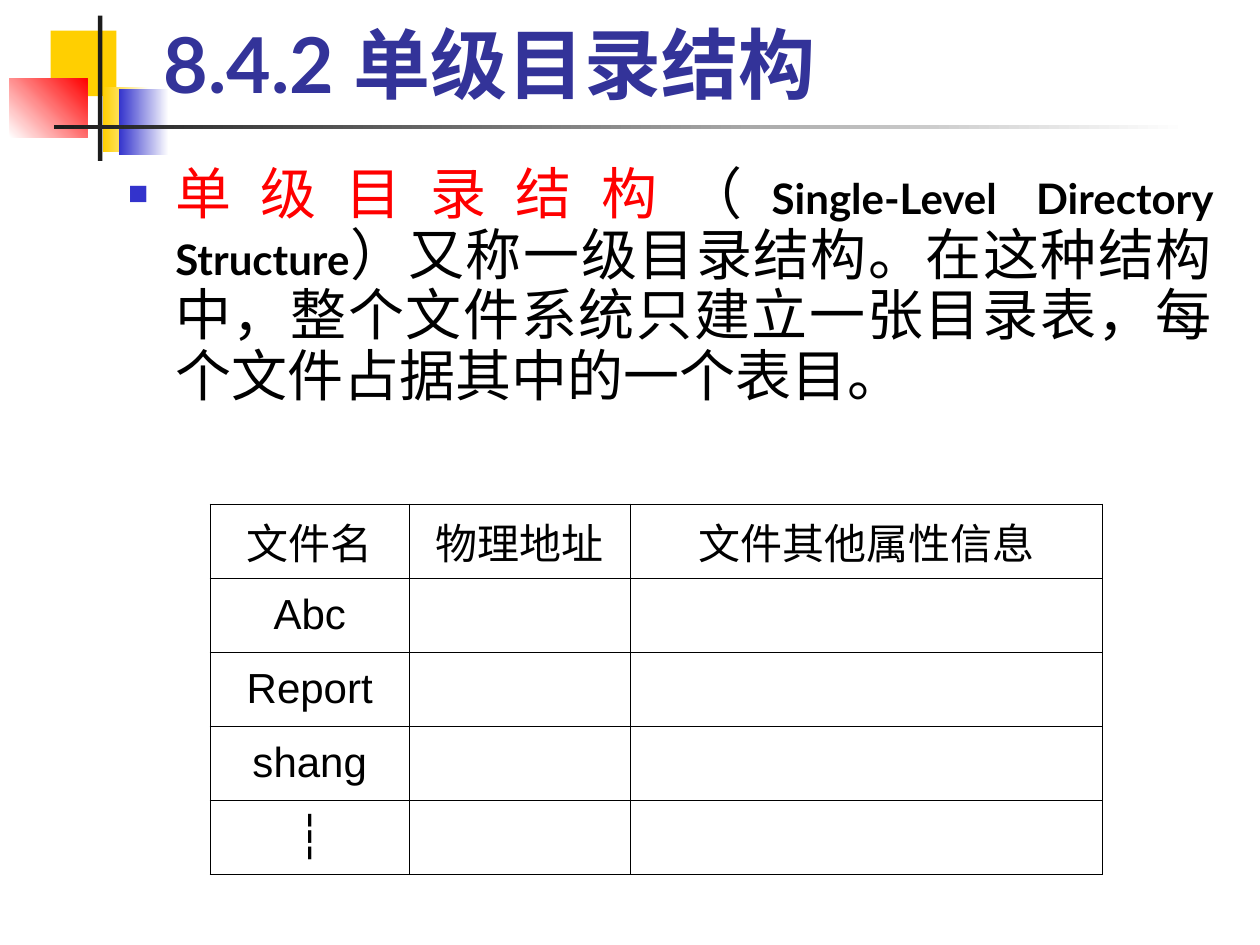
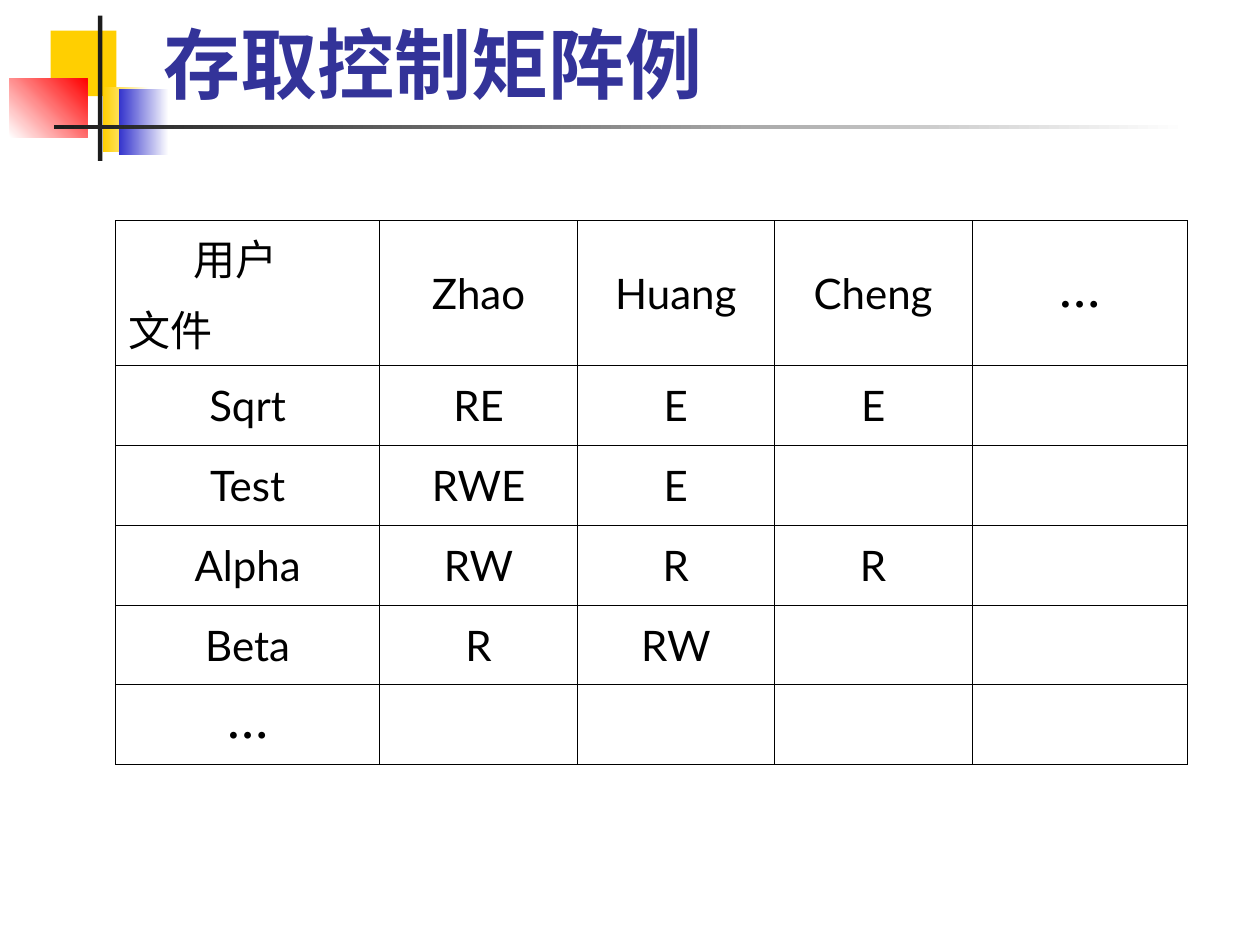
from dataclasses import dataclass

from lxml.etree import SubElement
from pptx import Presentation
from pptx.dml.color import RGBColor
from pptx.enum.shapes import MSO_SHAPE
from pptx.enum.text import MSO_ANCHOR, MSO_AUTO_SIZE, PP_ALIGN
from pptx.oxml.ns import qn
from pptx.util import Pt


@dataclass(frozen=True)
class Theme:
    black: str = "000000"
    white: str = "FFFFFF"
    ink: str = "1C1C1C"
    yellow: str = "FFCF01"
    blue: str = "3333CC"
    red: str = "FF0000"
    title: str = "333399"
    font: str = "Lato"
    plain_font: str = "Arial"
    dots_font: str = "Times New Roman"
    title_size: float = 44
    body_size: float = 32
    small_size: float = 24
    border: float = 0.45


THEME = Theme()
TITLE_AND_BODY, TITLE_ONLY = 1, 5

# left, top, width, height, colours (one or a gradient pair), gradient angle
ORNAMENT = [
    (29, 17.5, 37.5, 37.5, [THEME.yellow], 0),
    (59, 49.5, 26, 37.5, [THEME.yellow, THEME.white], 0),
    (68, 51, 28.5, 37.5, [THEME.blue, THEME.white], 0),
    (5.5, 45, 44.5, 33.5, [THEME.white, THEME.red], 45),
    (56, 9, 2.5, 83, [THEME.ink], 0),
    (31, 71.5, 648, 2.2, [THEME.ink, THEME.white], 0),
]

DIRECTORY = [
    ["文件名", "物理地址", "文件其他属性信息"],
    ["Abc"],
    ["Report"],
    ["shang"],
    ["┆"],
]

ACCESS_MATRIX = [
    ["", "Zhao", "Huang", "Cheng", "…"],
    ["Sqrt", "RE", "E", "E"],
    ["Test", "RWE", "E"],
    ["Alpha", "RW", "R", "R"],
    ["Beta", "R", "RW"],
    ["…"],
]


def add_text(paragraph, text, size=THEME.small_size, color=THEME.black,
             font=THEME.font, bold=False):
    run = paragraph.add_run()
    run.text = text
    run.font.size = Pt(size)
    run.font.name = font
    run.font.bold = bold
    run.font.color.rgb = RGBColor.from_string(color)


def place(shape, left, top, width, height):
    shape.left, shape.top = Pt(left), Pt(top)
    shape.width, shape.height = Pt(width), Pt(height)


def add_block(slide, left, top, width, height, colors, angle):
    block = slide.shapes.add_shape(
        MSO_SHAPE.RECTANGLE, Pt(left), Pt(top), Pt(width), Pt(height))
    block.shadow.inherit = False
    block.line.fill.background()
    if len(colors) == 1:
        block.fill.solid()
        block.fill.fore_color.rgb = RGBColor.from_string(colors[0])
    else:
        block.fill.gradient()
        block.fill.gradient_angle = angle
        for stop, color in zip(block.fill.gradient_stops, colors):
            stop.color.rgb = RGBColor.from_string(color)
    return block


def move_ornament_to_master(prs, slide):
    """Draw the ornament on a slide and move it to the master, for all slides."""
    master_tree = prs.slide_master.element.cSld.spTree
    for position, block in enumerate(ORNAMENT, start=2):
        master_tree.insert(position, add_block(slide, *block).element)


def add_titled_slide(prs, layout, text):
    slide = prs.slides.add_slide(prs.slide_layouts[layout])
    title = slide.shapes.title
    place(title, 86.5, 12, 613.5, 54)
    frame = title.text_frame
    frame.auto_size = MSO_AUTO_SIZE.NONE
    frame.vertical_anchor = MSO_ANCHOR.BOTTOM
    frame.paragraphs[0].alignment = PP_ALIGN.LEFT
    add_text(frame.paragraphs[0], text, size=THEME.title_size,
             color=THEME.title, bold=True)
    return slide


def indent(paragraph, left, first=0):
    properties = paragraph._p.get_or_add_pPr()
    properties.set("marL", str(Pt(left)))
    properties.set("indent", str(Pt(first)))
    return properties


def add_square_bullet(paragraph):
    properties = indent(paragraph, 27, -27)
    color = SubElement(properties, qn("a:buClr"))
    SubElement(color, qn("a:srgbClr"), val=THEME.blue)
    SubElement(properties, qn("a:buSzPct"), val="60000")
    SubElement(properties, qn("a:buFont"), typeface=THEME.plain_font)
    SubElement(properties, qn("a:buChar"), char="■")


def add_definition(slide):
    body = slide.placeholders[1]
    place(body, 66, 91.5, 634, 158.5)
    body.text_frame.auto_size = MSO_AUTO_SIZE.NONE
    definition = body.text_frame.paragraphs[0]
    add_square_bullet(definition)
    definition.alignment = PP_ALIGN.JUSTIFY
    definition.line_spacing = 0.9
    definition.space_before = Pt(0)
    add_text(definition, "单级目录结构", size=THEME.body_size, color=THEME.red)
    add_text(definition, "（", size=THEME.body_size)
    add_text(definition, "Single-Level Directory Structure", bold=True)
    add_text(definition, "）又称一级目录结构。在这种结构中，整个文件系统只建立一张"
             "目录表，每个文件占据其中的一个表目。", size=THEME.body_size)


def style_cell(cell):
    properties = cell._tc.get_or_add_tcPr()
    for side in ("a:lnL", "a:lnR", "a:lnT", "a:lnB"):
        line = SubElement(properties, qn(side), w=str(Pt(THEME.border)))
        fill = SubElement(line, qn("a:solidFill"))
        SubElement(fill, qn("a:srgbClr"), val=THEME.black)
    cell.fill.background()
    cell.vertical_anchor = MSO_ANCHOR.MIDDLE


def add_grid(slide, left, top, widths, heights, rows, font):
    """Add a ruled table; cells missing at the end of a row stay empty."""
    table = slide.shapes.add_table(
        len(heights), len(widths), Pt(left), Pt(top),
        Pt(sum(widths)), Pt(sum(heights))).table
    table.first_row = table.horz_banding = False
    for column, width in zip(table.columns, widths):
        column.width = Pt(width)
    for row, height in zip(table.rows, heights):
        row.height = Pt(height)
    for cell in table.iter_cells():
        style_cell(cell)
    for row, values in enumerate(rows):
        for column, value in enumerate(values):
            if not value:
                continue
            entry = table.cell(row, column).text_frame.paragraphs[0]
            entry.alignment = PP_ALIGN.CENTER
            dots = value == "…"
            add_text(entry, value, bold=dots,
                     font=THEME.dots_font if dots else font)
    return table


def add_corner_labels(cell, column_label, row_label):
    cell.vertical_anchor = MSO_ANCHOR.TOP
    users = cell.text_frame.paragraphs[0]
    indent(users, 37.5)
    add_text(users, column_label)
    files = cell.text_frame.add_paragraph()
    files.space_before = Pt(6)
    add_text(files, row_label)


def main():
    prs = Presentation()
    prs.slide_width, prs.slide_height = Pt(720), Pt(540)

    directory = add_titled_slide(prs, TITLE_AND_BODY, "8.4.2 单级目录结构")
    move_ornament_to_master(prs, directory)
    add_definition(directory)
    add_grid(directory, 120, 288, [114, 126, 270], [42.3] * 5,
             DIRECTORY, THEME.plain_font)

    access = add_titled_slide(prs, TITLE_ONLY, "存取控制矩阵例")
    matrix = add_grid(access, 66, 126, [151, 113, 112.5, 113, 123],
                      [83] + [45.6] * 5, ACCESS_MATRIX, THEME.font)
    add_corner_labels(matrix.cell(0, 0), "用户", "文件")

    prs.save("out.pptx")


if __name__ == "__main__":
    main()
